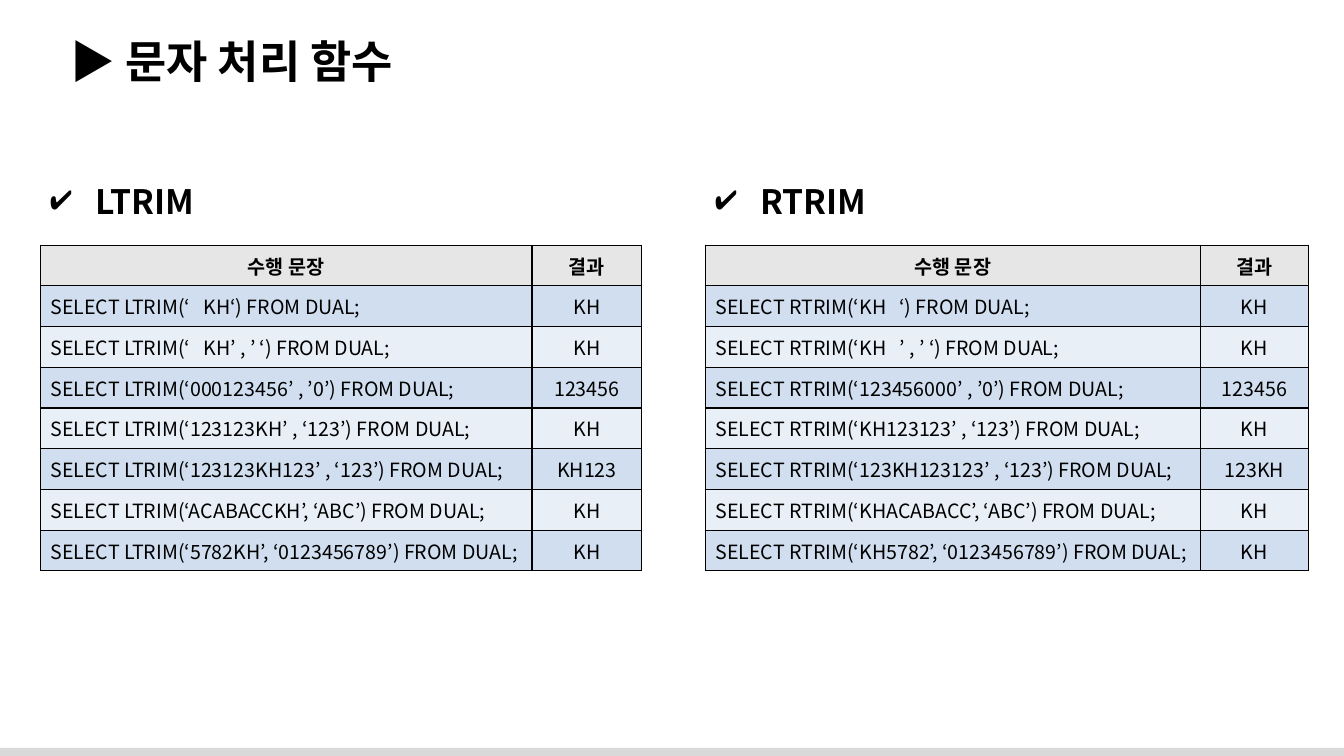
from dataclasses import dataclass

from lxml.etree import SubElement
from pptx import Presentation
from pptx.dml.color import RGBColor
from pptx.enum.shapes import MSO_SHAPE
from pptx.enum.text import MSO_ANCHOR, MSO_AUTO_SIZE, PP_ALIGN
from pptx.oxml.ns import qn
from pptx.slide import Slide
from pptx.table import _Cell as Cell
from pptx.text.text import TextFrame
from pptx.util import Pt

FONT = "Noto Sans CJK KR"
BLACK = RGBColor(0x00, 0x00, 0x00)
FOOTER_GRAY = RGBColor(0xD9, 0xD9, 0xD9)
HEADER_GRAY = RGBColor(0xE7, 0xE6, 0xE6)
BAND_DARK = RGBColor(0xD0, 0xDE, 0xEF)
BAND_LIGHT = RGBColor(0xE9, 0xEF, 0xF7)

ROW_HEIGHT = 29.1
TABLE_TOP = 175.1
HEADING_TOP = 126
BULLET_INDENT = 27
HEADERS = ("수행 문장", "결과")


@dataclass(frozen=True)
class TrimPanel:
    function: str
    left: float
    heading_width: float
    column_widths: tuple[float, float]
    examples: tuple[tuple[str, str], ...]  # arguments, result


PANELS = (
    TrimPanel("LTRIM", 28.8, 122, (351.2, 78.5), (
        ("‘   KH‘", "KH"),
        ("‘   KH’ , ’ ‘", "KH"),
        ("‘000123456’ , ’0’", "123456"),
        ("‘123123KH’ , ‘123’", "KH"),
        ("‘123123KH123’ , ‘123’", "KH123"),
        ("‘ACABACCKH’, ‘ABC’", "KH"),
        ("‘5782KH’, ‘0123456789’", "KH"),
    )),
    TrimPanel("RTRIM", 503.8, 127, (353.5, 77.5), (
        ("‘KH   ‘", "KH"),
        ("‘KH   ’ , ’ ‘", "KH"),
        ("‘123456000’ , ’0’", "123456"),
        ("‘KH123123’ , ‘123’", "KH"),
        ("‘123KH123123’ , ‘123’", "123KH"),
        ("‘KHACABACC’, ‘ABC’", "KH"),
        ("‘KH5782’, ‘0123456789’", "KH"),
    )),
)


def set_text(frame: TextFrame, text: str, size: float, bold: bool) -> None:
    frame.text = text
    for run in frame.paragraphs[0].runs:
        run.font.size = Pt(size)
        run.font.bold = bold
        run.font.name = FONT
        run.font.color.rgb = BLACK
        SubElement(run.font._element, qn("a:ea"), typeface=FONT)


def add_heading(slide: Slide, text: str, left: float, top: float,
                width: float, height: float, size: float) -> TextFrame:
    frame = slide.shapes.add_textbox(
        Pt(left), Pt(top), Pt(width), Pt(height)).text_frame
    frame.word_wrap = True
    frame.auto_size = MSO_AUTO_SIZE.SHAPE_TO_FIT_TEXT
    set_text(frame, text, size, True)
    return frame


def add_check_bullet(frame: TextFrame) -> None:
    properties = frame.paragraphs[0]._p.get_or_add_pPr()
    properties.set("marL", str(Pt(BULLET_INDENT)))
    properties.set("indent", str(-Pt(BULLET_INDENT)))
    SubElement(properties, qn("a:buChar"), char="✔")


def add_borders(cell: Cell) -> None:
    """Draw a thin black line on all four sides, ahead of the cell's fill."""
    properties = cell._tc.get_or_add_tcPr()
    for position, side in enumerate(("a:lnL", "a:lnR", "a:lnT", "a:lnB")):
        line = SubElement(properties, qn(side), w=str(Pt(1)))
        fill = SubElement(line, qn("a:solidFill"))
        SubElement(fill, qn("a:srgbClr"), val=str(BLACK))
        properties.insert(position, line)


def add_trim_table(slide: Slide, panel: TrimPanel) -> None:
    rows = [HEADERS] + [
        (f"SELECT {panel.function}({arguments}) FROM DUAL;", result)
        for arguments, result in panel.examples]
    table = slide.shapes.add_table(
        len(rows), len(HEADERS), Pt(panel.left), Pt(TABLE_TOP),
        Pt(sum(panel.column_widths)), Pt(ROW_HEIGHT * len(rows))).table
    for column, width in zip(table.columns, panel.column_widths):
        column.width = Pt(width)
    for row_index, texts in enumerate(rows):
        is_header = row_index == 0
        band = BAND_DARK if row_index % 2 else BAND_LIGHT
        table.rows[row_index].height = Pt(ROW_HEIGHT)
        for column_index, text in enumerate(texts):
            cell = table.cell(row_index, column_index)
            cell.vertical_anchor = MSO_ANCHOR.MIDDLE
            cell.fill.solid()
            cell.fill.fore_color.rgb = HEADER_GRAY if is_header else band
            add_borders(cell)
            set_text(cell.text_frame, text, 14, is_header)
            centered = is_header or column_index == 1
            cell.text_frame.paragraphs[0].alignment = (
                PP_ALIGN.CENTER if centered else PP_ALIGN.LEFT)


def add_footer_bar(slide: Slide) -> None:
    bar = slide.shapes.add_shape(
        MSO_SHAPE.RECTANGLE, Pt(-2), Pt(534.2), Pt(964), Pt(7.9))
    bar.shadow.inherit = False
    bar.fill.solid()
    bar.fill.fore_color.rgb = FOOTER_GRAY
    bar.line.fill.background()


def main() -> None:
    presentation = Presentation()
    presentation.slide_width = Pt(960)
    presentation.slide_height = Pt(540)
    slide = presentation.slides.add_slide(presentation.slide_layouts[6])
    add_footer_bar(slide)
    add_heading(slide, "▶ 문자 처리 함수", 43.2, 20.2, 907, 46, 32)
    for panel in PANELS:
        heading = add_heading(slide, f" {panel.function}", panel.left,
                              HEADING_TOP, panel.heading_width, 36, 24)
        add_check_bullet(heading)
        add_trim_table(slide, panel)
    presentation.save("out.pptx")


if __name__ == "__main__":
    main()
